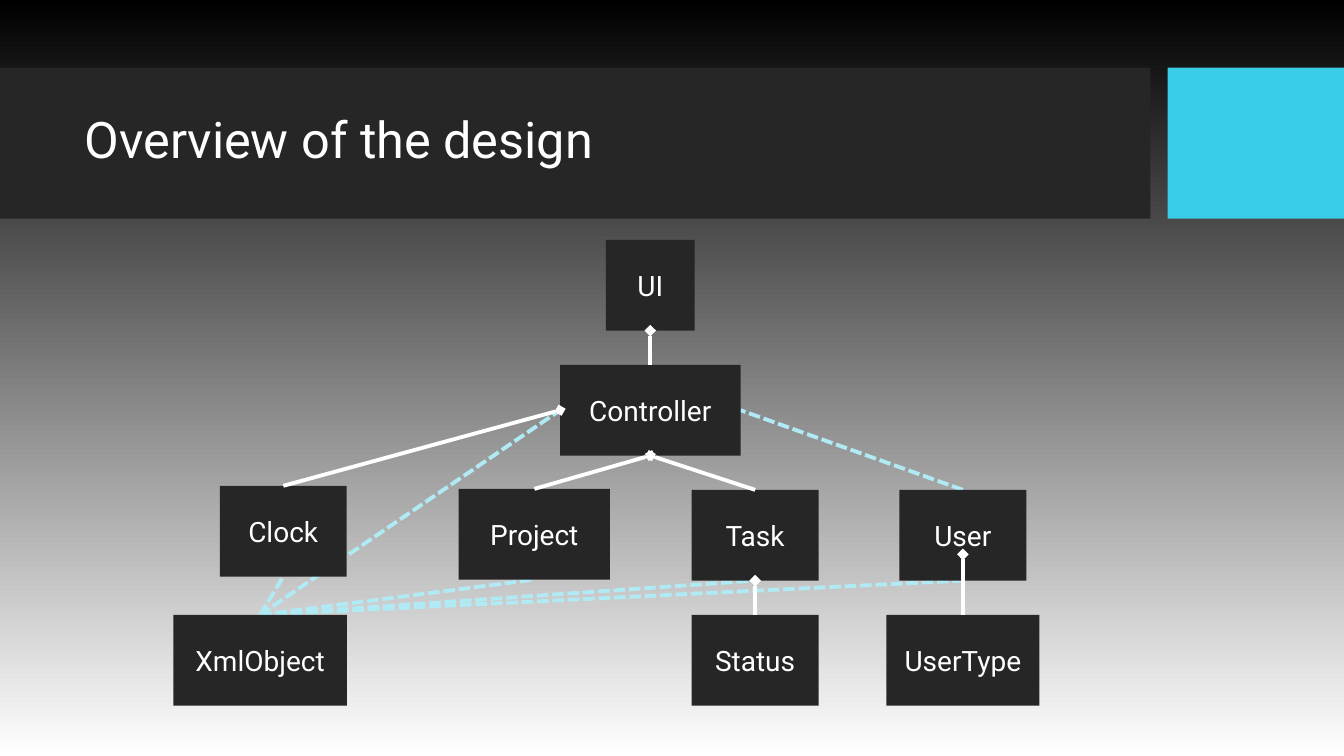
from collections import namedtuple

from lxml.etree import SubElement
from pptx import Presentation
from pptx.dml.color import RGBColor
from pptx.enum.dml import MSO_LINE
from pptx.enum.shapes import MSO_CONNECTOR, MSO_SHAPE
from pptx.enum.text import MSO_ANCHOR, PP_ALIGN
from pptx.oxml.ns import qn
from pptx.util import Inches, Pt

Box = namedtuple("Box", "left top width height")

COLORS = {"panel": "262626", "accent": "39CDE7", "text": "FFFFFF",
          "inherits": "B0EBF5", "owns": "FFFFFF",
          "sky": "000000", "ground": "FFFFFF"}
FONT = "Roboto"
SLIDE = Box(0, 0, 13.33, 7.5)
HEADER = Box(0, 0.67, SLIDE.width, 1.5)
DIAGRAM = Box(1.72, 2.38, 8.59, 4.62)
CLASS_HEIGHT = 0.9
TOP, LEFT, BOTTOM, RIGHT = range(4)

# name: (row, centre from the diagram's left, width, shift down)
CLASSES = {
    "UI": (0, 4.73, 0.88, 0),
    "Controller": (1, 4.73, 1.79, 0),
    "Project": (2, 3.58, 1.5, -0.01),
    "Task": (2, 5.77, 1.26, 0),
    "Status": (3, 5.77, 1.26, 0),
    "Clock": (2, 1.09, 1.26, -0.04),
    "XmlObject": (3, 0.86, 1.72, 0),
    "User": (2, 7.83, 1.26, 0),
    "UserType": (3, 7.83, 1.52, 0),
}
DASHED = [
    ("User", TOP, "Controller", RIGHT),
    ("XmlObject", TOP, "Controller", LEFT),
    *[("XmlObject", TOP, name, BOTTOM)
      for name in ("Clock", "Project", "Task", "User")],
]
OWNED = [
    ("Controller", TOP, "UI", BOTTOM),
    ("Clock", TOP, "Controller", LEFT),
    ("Project", TOP, "Controller", BOTTOM),
    ("Task", TOP, "Controller", BOTTOM),
    ("Status", TOP, "Task", BOTTOM),
    ("UserType", TOP, "User", BOTTOM),
]
USER_OVERLAP = 0.26


def color(name):
    return RGBColor.from_string(COLORS[name])


def place(shape, box):
    shape.left, shape.top, shape.width, shape.height = map(Inches, box)


def write(shape, text, size, align=PP_ALIGN.LEFT, spacing=None):
    frame = shape.text_frame
    frame.word_wrap = True
    frame.vertical_anchor = MSO_ANCHOR.MIDDLE
    para = frame.paragraphs[0]
    para.alignment = align
    para.line_spacing = spacing
    span = para.add_run()
    span.text = text
    span.font.name = FONT
    span.font.size = Pt(size)
    span.font.color.rgb = color("text")


def add_panel(slide, box, fill):
    panel = slide.shapes.add_shape(MSO_SHAPE.RECTANGLE, *map(Inches, box))
    panel.shadow.inherit = False
    panel.fill.solid()
    panel.fill.fore_color.rgb = color(fill)
    panel.line.fill.background()
    return panel


def add_link(slide, start, start_site, end, end_site, stroke):
    link = slide.shapes.add_connector(MSO_CONNECTOR.STRAIGHT, 0, 0, 0, 0)
    link.begin_connect(start, start_site)
    link.end_connect(end, end_site)
    link.line.color.rgb = color(stroke)
    link.line.width = Pt(2.75)
    SubElement(link.element.spPr, qn("a:effectLst"))
    return link


def paint_background(slide):
    fill = slide.background.fill
    fill.gradient()
    fill.gradient_angle = 270
    for stop, name in zip(fill.gradient_stops, ("sky", "ground")):
        stop.color.rgb = color(name)


def build_header(slide, box):
    accent_width = 1.75
    gap = 0.17
    band_width = box.width - accent_width - gap
    band = add_panel(slide, box._replace(width=band_width), "panel")
    accent = add_panel(slide, box._replace(left=box.left + band_width + gap,
                                           width=accent_width), "accent")
    title = slide.shapes.title
    for panel in (band, accent):
        title.element.addprevious(panel.element)
    place(title, Box(box.left + 0.74, box.top + 0.15, 10.51, 1.18))
    write(title, "Overview of the design", 36, spacing=0.9)


def build_diagram(slide, box):
    row_pitch = (box.height - CLASS_HEIGHT) / 3
    panels = {}
    for name, (row, centre, width, shift) in CLASSES.items():
        panels[name] = add_panel(
            slide, Box(box.left + centre - width / 2,
                       box.top + row * row_pitch + shift,
                       width, CLASS_HEIGHT), "panel")
        write(panels[name], name, 20, align=PP_ALIGN.CENTER)

    for start, start_site, end, end_site in DASHED:
        link = add_link(slide, panels[start], start_site,
                        panels[end], end_site, "inherits")
        link.line.dash_style = MSO_LINE.SQUARE_DOT
        panels["UI"].element.addprevious(link.element)

    for start, start_site, end, end_site in OWNED:
        link = add_link(slide, panels[start], start_site,
                        panels[end], end_site, "owns")
        outline = link.element.spPr.find(qn("a:ln"))
        SubElement(outline, qn("a:tailEnd"), type="diamond")
        if end == "User":
            # This diamond sits inside the box, so its end is left unglued.
            glue = link.element.find(".//" + qn("a:endCxn"))
            glue.getparent().remove(glue)
            link.end_y -= Inches(USER_OVERLAP)


def main():
    deck = Presentation()
    deck.slide_width = Inches(SLIDE.width)
    deck.slide_height = Inches(SLIDE.height)
    slide = deck.slides.add_slide(deck.slide_layouts.get_by_name("Title Only"))
    paint_background(slide)
    build_header(slide, HEADER)
    build_diagram(slide, DIAGRAM)
    deck.save("out.pptx")


if __name__ == "__main__":
    main()
